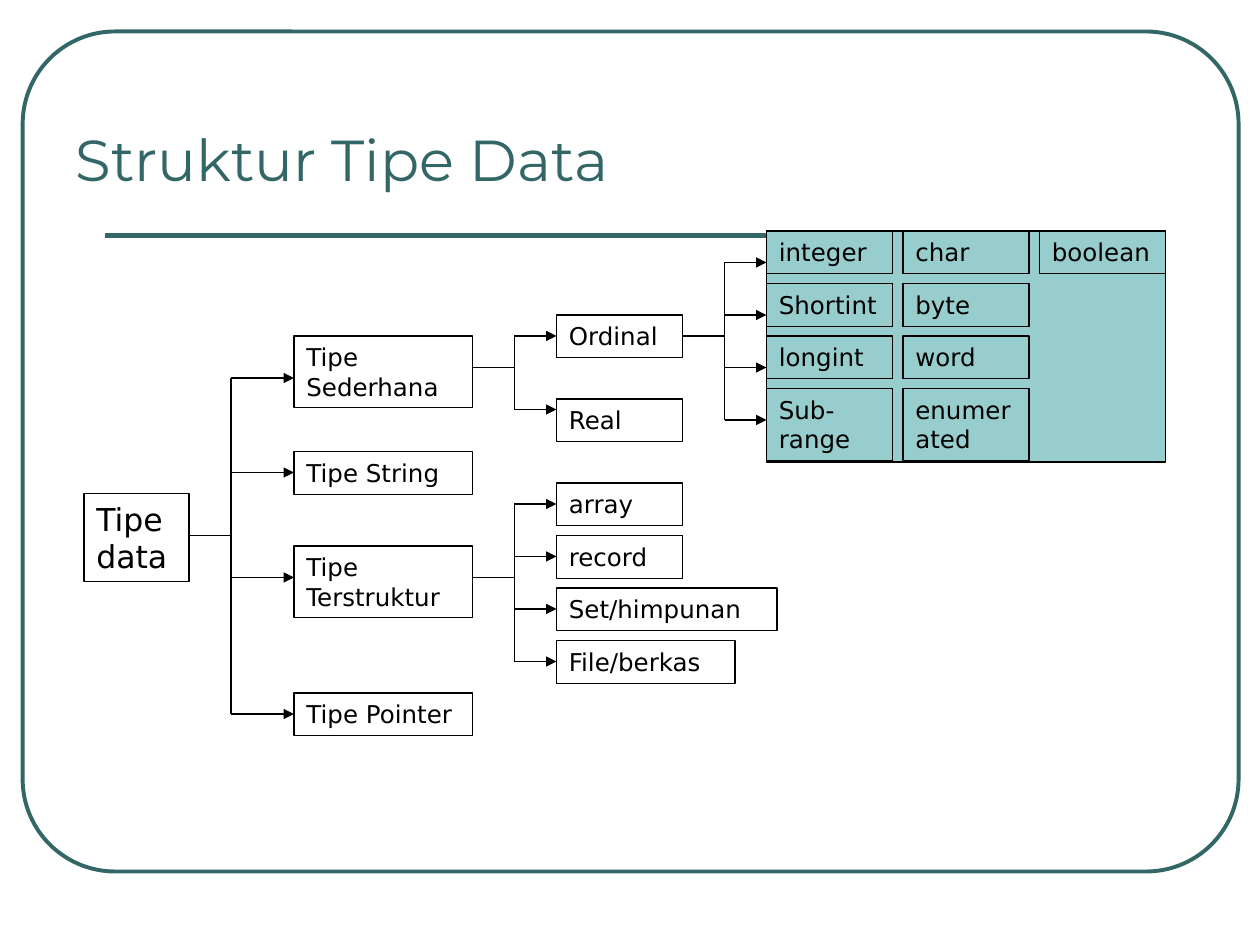
"""Build the slide that shows the structure of data types as a tree."""
import pptx
import pptx.dml.color
import pptx.enum.shapes
import pptx.enum.text
import pptx.oxml
import pptx.oxml.ns
import pptx.util

COLORS = {"teal": "336666", "panel": "97CDCC", "ink": "000000"}
TITLE = "Struktur Tipe Data"
COLUMNS, ROWS = 120, 90
ONE_LINE, TWO_LINES, ROOT_HEIGHT = 4.08, 6.84, 8.4

# (text, column, row, columns wide, rows high)
ROOT = ("Tipe data", 8, 47, 10, ROOT_HEIGHT)
GROUPS = [
    ("Tipe Sederhana", 28, 32, 17, TWO_LINES),
    ("Tipe String", 28, 43, 17, ONE_LINE),
    ("Tipe Terstruktur", 28, 52, 17, TWO_LINES),
    ("Tipe Pointer", 28, 66, 17, ONE_LINE),
]
SIMPLE = [("Ordinal", 53, 30, 12, ONE_LINE), ("Real", 53, 38, 12, ONE_LINE)]
STRUCTURED = [("array", 12), ("record", 12), ("Set/himpunan", 21), ("File/berkas", 17)]
ORDINALS = [
    ["integer", "char", "boolean"],
    ["Shortint", "byte"],
    ["longint", "word"],
    ["Sub-range", "enumerated"],
]
ORDINAL_LEFT, ORDINAL_TOP, ORDINAL_STEP, ROW_STEP = 73, 22, 13, 5

# (start column, start row, trunk column, end column, end rows)
BRANCHES = [
    (18, 51, 22, 28, [36, 45, 55, 68]),
    (45, 35, 49, 53, [32, 39]),
    (45, 55, 49, 53, [48, 53, 58, 63]),
    (65, 32, 69, 73, [25, 30, 35, 40]),
]

deck = pptx.Presentation()
deck.slide_width, deck.slide_height = pptx.util.Inches(10), pptx.util.Inches(7.5)
slide = deck.slides.add_slide(deck.slide_layouts[5])


def across(columns):
    """Turn grid columns into a length."""
    return round(deck.slide_width * columns / COLUMNS)


def down(rows):
    """Turn grid rows into a length."""
    return round(deck.slide_height * rows / ROWS)


def rgb(name):
    """Look up a colour by name."""
    return pptx.dml.color.RGBColor.from_string(COLORS[name])


def write(frame, text, size, font="DejaVu Sans", color="ink", before=0,
          anchor=pptx.enum.text.MSO_ANCHOR.TOP,
          fit=pptx.enum.text.MSO_AUTO_SIZE.NONE):
    """Put formatted, left-aligned text in a text frame."""
    frame.text = text
    frame.word_wrap = True
    frame.auto_size = fit
    frame.vertical_anchor = anchor
    paragraph = frame.paragraphs[0]
    paragraph.alignment = pptx.enum.text.PP_ALIGN.LEFT
    paragraph.space_before = pptx.util.Pt(before)
    run_font = paragraph.runs[0].font
    run_font.name, run_font.size = font, pptx.util.Pt(size)
    run_font.color.rgb = rgb(color)


def add_box(column, row, width, height, line="ink", weight=0.74, fill=None,
            kind=pptx.enum.shapes.MSO_SHAPE.RECTANGLE):
    """Draw an outlined shape on the grid."""
    box = slide.shapes.add_shape(kind, across(column), down(row), across(width), down(height))
    box.shadow.inherit = False
    if fill:
        box.fill.solid()
        box.fill.fore_color.rgb = rgb(fill)
    else:
        box.fill.background()
    box.line.color.rgb = rgb(line)
    box.line.width = pptx.util.Pt(weight)
    return box


def add_node(text, column, row, width, height, size=14):
    """Draw one labelled box of the tree."""
    box = add_box(column, row, width, height)
    write(box.text_frame, text, size, before=8.8 * size / 14,
          fit=pptx.enum.text.MSO_AUTO_SIZE.SHAPE_TO_FIT_TEXT)


def add_line(x1, y1, x2, y2, color="ink", weight=0.74, arrow=False):
    """Draw a straight line on the grid, with an arrowhead if asked."""
    line = slide.shapes.add_connector(
        pptx.enum.shapes.MSO_CONNECTOR.STRAIGHT, across(x1), down(y1), across(x2), down(y2))
    line.line.color.rgb = rgb(color)
    line.line.width = pptx.util.Pt(weight)
    if arrow:
        head = pptx.oxml.parse_xml(
            '<a:tailEnd %s type="triangle"/>' % pptx.oxml.ns.nsdecls("a"))
        line.line._get_or_add_ln().append(head)
    line._element.spPr.append(
        pptx.oxml.parse_xml("<a:effectLst %s/>" % pptx.oxml.ns.nsdecls("a")))


border = add_box(2.16, 3, 115.8, 80, line="teal", weight=2.24,
                 kind=pptx.enum.shapes.MSO_SHAPE.ROUNDED_RECTANGLE)
border.adjustments[0] = 0.11
add_line(10, 22.4, 111, 22.4, color="teal", weight=3)

title = slide.shapes.title
title.left, title.top, title.width, title.height = across(6), down(3), across(105), down(16)
write(title.text_frame, TITLE, 33, font="Montserrat", color="teal",
      anchor=pptx.enum.text.MSO_ANCHOR.BOTTOM)

add_node(*ROOT, size=18)
for node in GROUPS + SIMPLE:
    add_node(*node)
for index, (text, width) in enumerate(STRUCTURED):
    add_node(text, 53, 46 + index * ROW_STEP, width, ONE_LINE)

add_box(ORDINAL_LEFT, ORDINAL_TOP, 38, 22, fill="panel")
for row, names in enumerate(ORDINALS):
    height = TWO_LINES if row == len(ORDINALS) - 1 else ONE_LINE
    for column, name in enumerate(names):
        add_node(name, ORDINAL_LEFT + column * ORDINAL_STEP,
                 ORDINAL_TOP + row * ROW_STEP, 12, height)

for start, level, trunk, end, targets in BRANCHES:
    add_line(start, level, trunk, level)
    add_line(trunk, targets[0], trunk, targets[-1])
    for target in targets:
        add_line(trunk, target, end, target, arrow=True)

deck.save("out.pptx")
